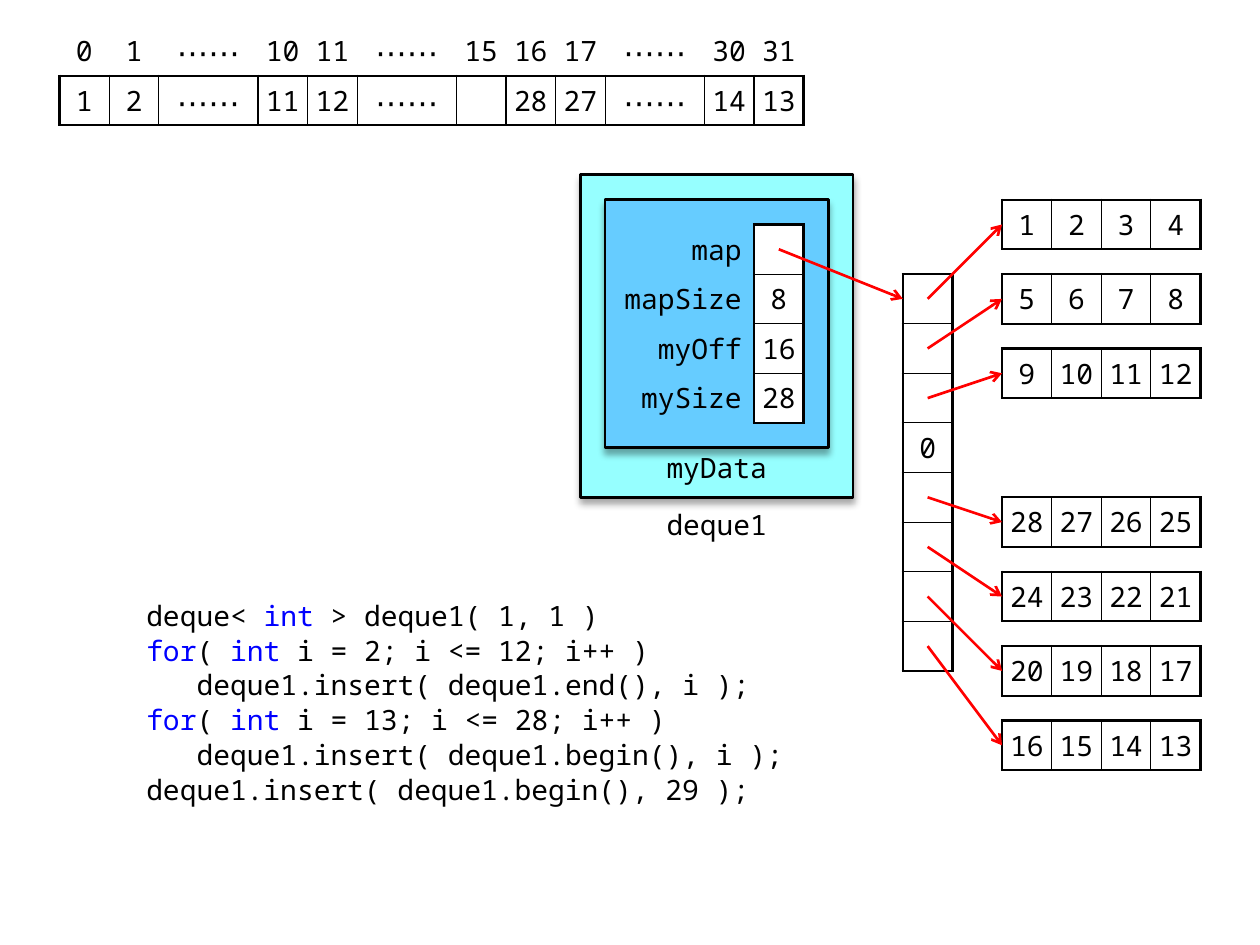
"""Build a slide showing how a deque stores its elements in mapped blocks."""
from dataclasses import dataclass

from lxml import etree
from pptx import Presentation
from pptx import util as u
from pptx.dml.color import RGBColor
from pptx.enum import shapes, text
from pptx.oxml import ns

SCALE = 1800
HALF = 100
CELL = 2 * HALF
LEFT, TOP = 40, 5
DOTS = "⋯⋯"
NO_STYLE = "{2D5ABB26-0587-4C30-8999-92F81FD0307C}"


@dataclass(frozen=True)
class Theme:
    font: str = "Noto Sans Mono"
    size: int = 16
    dots_size: int = 18
    ink: str = "000000"
    keyword: str = "0000FF"
    arrow: str = "FF0000"
    paper: str = "FFFFFF"
    outer: str = "96FFFF"
    inner: str = "66CCFF"
    thick: float = 1.5
    thin: float = 0.75


@dataclass(frozen=True)
class Box:
    column: int
    row: int
    width: int
    height: int


@dataclass(frozen=True)
class Grid:
    column: int
    row: int
    rows: list
    widths: list
    frame_row: int = 0
    frame_column: int = 0


@dataclass(frozen=True)
class Arrow:
    start: tuple
    end: tuple


THEME = Theme()
KEYWORDS = ("for", "int")
CODE = [
    (0, ["deque< ", "int", " > deque1( 1, 1 )"]),
    (0, ["for", "( ", "int", " i = 2; i <= 12; i++ )"]),
    (3, ["deque1.insert( deque1.end(), i );"]),
    (0, ["for", "( ", "int", " i = 13; i <= 28; i++ )"]),
    (3, ["deque1.insert( deque1.begin(), i );"]),
    (0, ["deque1.insert( deque1.begin(), 29 );"]),
]
INDEXES = ["0", "1", DOTS, "10", "11", DOTS, "15", "16", "17", DOTS, "30", "31"]
VALUES = ["1", "2", DOTS, "11", "12", DOTS, "", "28", "27", DOTS, "14", "13"]
MEMBERS = [["map", ""], ["mapSize", "8"], ["myOff", "16"], ["mySize", "28"]]
BLOCKS = [range(1, 5), range(5, 9), range(9, 13), None,
          range(28, 24, -1), range(24, 20, -1), range(20, 16, -1), range(16, 12, -1)]


def px(length: int) -> u.Emu:
    return u.Emu(length * SCALE)


def at(column: int, row: int) -> tuple:
    return px(LEFT + column * HALF), px(TOP + row * HALF)


def place(box: Box) -> tuple:
    return *at(box.column, box.row), px(box.width * HALF), px(box.height * HALF)


def color(value: str) -> RGBColor:
    return RGBColor.from_string(value)


def style(paragraph, alignment=text.PP_ALIGN.CENTER, size: int = THEME.size) -> None:
    paragraph.alignment = alignment
    paragraph.font.name = THEME.font
    paragraph.font.size = u.Pt(size)
    paragraph.font.color.rgb = color(THEME.ink)


def add_border(cell, side: str, width: float) -> None:
    properties = cell._tc.get_or_add_tcPr()
    line = etree.SubElement(properties, ns.qn(f"a:ln{side}"), w=str(u.Pt(width)))
    fill = etree.SubElement(line, ns.qn("a:solidFill"))
    etree.SubElement(fill, ns.qn("a:srgbClr"), val=THEME.ink)


def draw_grid(slide, grid: Grid) -> None:
    last_row, last_column = len(grid.rows) - 1, len(grid.widths) - 1
    table = slide.shapes.add_table(
        last_row + 1, last_column + 1, *at(grid.column, grid.row),
        px(sum(grid.widths) * HALF), px(len(grid.rows) * CELL)).table
    table.first_row = table.horz_banding = False
    table._tbl.tblPr.find(ns.qn("a:tableStyleId")).text = NO_STYLE
    for column, width in zip(table.columns, grid.widths):
        column.width = px(width * HALF)
    for i, values in enumerate(grid.rows):
        table.rows[i].height = px(CELL)
        for j, value in enumerate(values):
            cell = table.cell(i, j)
            label = j < grid.frame_column
            cell.vertical_anchor = text.MSO_ANCHOR.MIDDLE
            cell.margin_top = cell.margin_bottom = px(20)
            cell.margin_left = cell.margin_right = px(50 if label else 20)
            cell.text = value
            style(cell.text_frame.paragraphs[0],
                  text.PP_ALIGN.RIGHT if label else text.PP_ALIGN.CENTER,
                  THEME.dots_size if value == DOTS else THEME.size)
            if label or i < grid.frame_row:
                cell.fill.background()
                continue
            edges = {"L": j == grid.frame_column, "R": j == last_column,
                     "T": i == grid.frame_row, "B": i == last_row}
            for side, outside in edges.items():
                add_border(cell, side, THEME.thick if outside else THEME.thin)
            cell.fill.solid()
            cell.fill.fore_color.rgb = color(THEME.paper)


def draw_panel(slide, box: Box, fill: str) -> None:
    panel = slide.shapes.add_shape(shapes.MSO_SHAPE.FLOWCHART_PROCESS, *place(box))
    panel.fill.solid()
    panel.fill.fore_color.rgb = color(fill)
    panel.line.color.rgb = color(THEME.ink)
    panel.line.width = u.Pt(THEME.thick)
    panel.shadow.inherit = False
    effects = panel._element.spPr.find(ns.qn("a:effectLst"))
    shadow = etree.SubElement(effects, ns.qn("a:outerShdw"), blurRad=str(u.Pt(4)),
                              dist=str(u.Pt(3)), dir="5400000", rotWithShape="0")
    tint = etree.SubElement(shadow, ns.qn("a:srgbClr"), val=THEME.ink)
    etree.SubElement(tint, ns.qn("a:alpha"), val="35000")


def draw_caption(slide, box: Box, caption: str, anchor, top: int) -> None:
    frame = slide.shapes.add_textbox(*place(box)).text_frame
    frame.word_wrap = True
    frame.vertical_anchor = anchor
    frame.margin_left = frame.margin_right = px(40)
    frame.margin_top, frame.margin_bottom = px(top), 0
    frame.text = caption
    style(frame.paragraphs[0])


def draw_code(slide, box: Box) -> None:
    frame = slide.shapes.add_textbox(*place(box)).text_frame
    frame.word_wrap = True
    for number, (indent, parts) in enumerate(CODE):
        paragraph = frame.add_paragraph() if number else frame.paragraphs[0]
        style(paragraph, text.PP_ALIGN.LEFT)
        paragraph.space_before = u.Pt(3)
        paragraph.line_spacing = 0.885
        paragraph._p.get_or_add_pPr().set("marL", str(u.Pt(indent * THEME.size * 0.6)))
        for part in parts:
            run = paragraph.add_run()
            run.text = part
            run.font.color.rgb = color(THEME.keyword if part in KEYWORDS else THEME.ink)


def draw_arrow(slide, arrow: Arrow) -> None:
    connector = slide.shapes.add_connector(
        shapes.MSO_CONNECTOR.STRAIGHT, *at(*arrow.start), *at(*arrow.end))
    connector.line.color.rgb = color(THEME.arrow)
    connector.line.width = u.Pt(THEME.thick)
    etree.SubElement(connector.line._get_or_add_ln(), ns.qn("a:tailEnd"), type="arrow")
    etree.SubElement(connector._element.spPr, ns.qn("a:effectLst"))


def main() -> None:
    presentation = Presentation()
    presentation.slide_width, presentation.slide_height = px(5080), px(3810)
    slide = presentation.slides.add_slide(presentation.slide_layouts[6])
    draw_code(slide, Box(5, 24, 27, 11))
    widths = [4 if index == DOTS else 2 for index in INDEXES]
    draw_grid(slide, Grid(2, 1, [INDEXES, VALUES], widths, frame_row=1))
    slots = [["" if block else "0"] for block in BLOCKS]
    draw_grid(slide, Grid(36, 11, slots, [2]))
    for i, block in enumerate(BLOCKS):
        if block:
            draw_grid(slide, Grid(40, 8 + 3 * i, [[str(n) for n in block]], [2] * 4))
            draw_arrow(slide, Arrow((37, 12 + 2 * i), (40, 9 + 3 * i)))
    draw_panel(slide, Box(23, 7, 11, 13), THEME.outer)
    draw_panel(slide, Box(24, 8, 9, 10), THEME.inner)
    draw_caption(slide, Box(25, 20, 7, 2), "deque1", text.MSO_ANCHOR.MIDDLE, 20)
    draw_caption(slide, Box(26, 18, 5, 2), "myData", text.MSO_ANCHOR.TOP, 10)
    draw_grid(slide, Grid(24, 9, MEMBERS, [6, 2], frame_column=1))
    draw_arrow(slide, Arrow((31, 10), (36, 12)))
    presentation.save("out.pptx")


if __name__ == "__main__":
    main()
